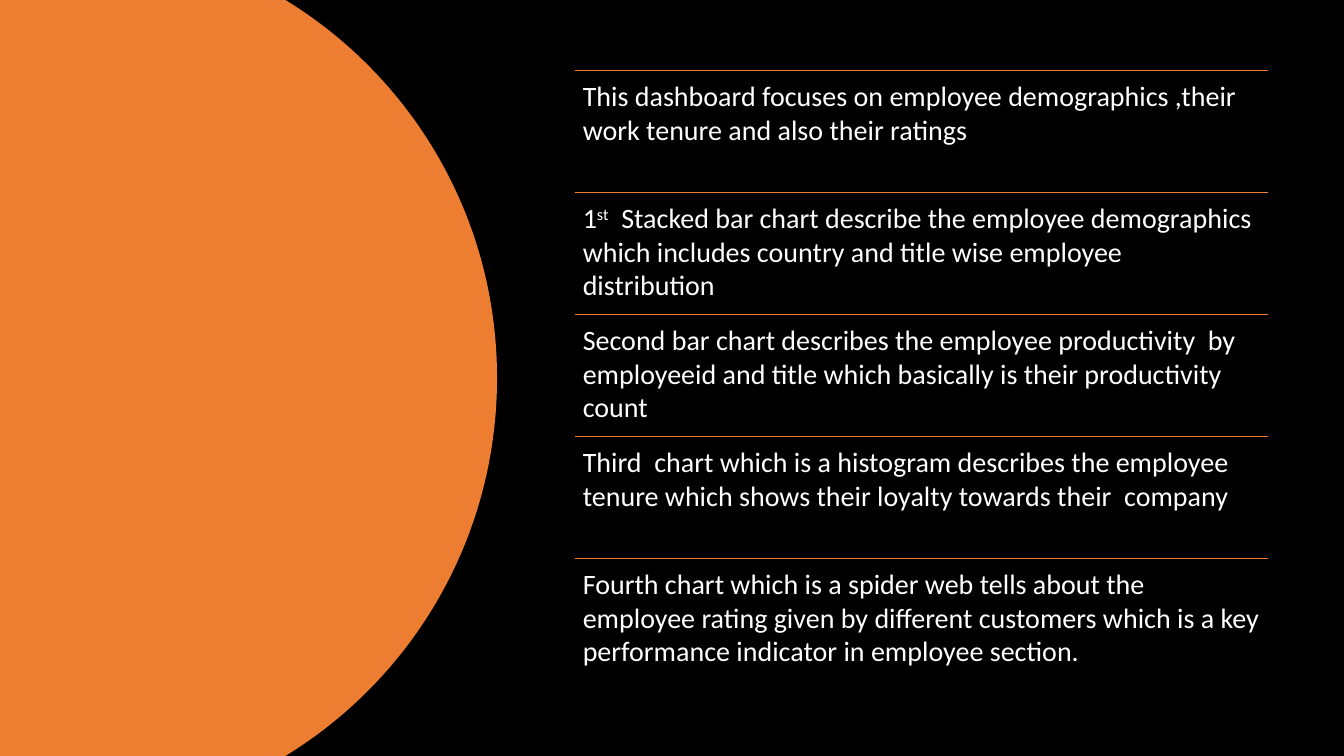
from pptx import Presentation
from pptx import util as u
from pptx.dml.color import RGBColor
from pptx.enum import shapes, text
from pptx.oxml.ns import qn
from lxml import etree

ORANGE, WHITE, BLACK = "ED7D31", "FFFFFF", "000000"
W, H = 13.33, 7.5
LEFT, TOP, WIDTH, ROW = 5.7, 0.7, 6.88, 1.21
INSET = 0.08
UNITS = 100  # outline units per inch

# Each row is a list of (text, baseline shift in thousandths of a percent)
ROWS = [
    [("This dashboard focuses on employee demographics ,their work tenure and also their ratings", 0)],
    [("1", 0), ("st", 30000),
     ("  Stacked bar chart describe the employee demographics  which includes country "
      "and title wise employee distribution", 0)],
    [("Second bar chart describes the employee productivity  by employeeid and title "
      "which basically is their productivity count", 0)],
    [("Third  chart which is a histogram describes the employee tenure which shows "
      "their loyalty towards their  company", 0)],
    [("Fourth chart which is a spider web tells about the employee rating given by "
      "different customers which is a key performance indicator in employee section.", 0)],
]


def paint(color_format, hex_color):
    """Set a fill's, line's or font's colour from a hex string."""
    color_format.rgb = RGBColor.from_string(hex_color)


prs = Presentation()
prs.slide_width, prs.slide_height = u.Inches(W), u.Inches(H)
s = prs.slides.add_slide(prs.slide_layouts[6])
s.background.fill.solid()
paint(s.background.fill.fore_color, BLACK)

# Orange panel: top edge, two curves bulging right, bottom edge
upper = [(4.09, 0.77), (4.93, 2.16), (4.93, H / 2)]
lower = [(x, H - y) for x, y in upper[1::-1]] + [(2.83, H)]
outline = [(2.83, 0)] + upper + lower + [(0, H)]
fb = s.shapes.build_freeform(0, 0, scale=u.Inches(1) / UNITS)
fb.add_line_segments([(x * UNITS, y * UNITS) for x, y in outline], close=True)
panel = fb.convert_to_shape()
panel.shadow.inherit = False
panel.fill.solid()
paint(panel.fill.fore_color, ORANGE)
panel.line.fill.background()

# Turn the six segments after the top edge into two cubic curves
segments = list(panel._element.iter(qn("a:lnTo")))
for start in (1, 4):
    curve = etree.Element(qn("a:cubicBezTo"))
    segments[start].addprevious(curve)
    for segment in segments[start:start + 3]:
        curve.append(segment[0])
        segment.getparent().remove(segment)

# Ruled list of statements
for i, parts in enumerate(ROWS):
    y = u.Inches(TOP + i * ROW)
    rule = s.shapes.add_connector(shapes.MSO_CONNECTOR.STRAIGHT, u.Inches(LEFT), y,
                                  u.Inches(LEFT + WIDTH), y)
    rule.line.width = u.Pt(1)
    paint(rule.line.color, ORANGE)
    etree.SubElement(rule._element.spPr, qn("a:effectLst"))

    sp = s.shapes.add_textbox(u.Inches(LEFT), y, u.Inches(WIDTH), u.Inches(ROW))
    tf = sp.text_frame
    tf.word_wrap = True
    tf.vertical_anchor = text.MSO_ANCHOR.TOP
    tf.margin_left = tf.margin_right = tf.margin_top = tf.margin_bottom = u.Inches(INSET)
    p = tf.paragraphs[0]
    for words, baseline in parts:
        r = p.add_run()
        r.text = words
        r.font.name, r.font.size = "Calibri", u.Pt(20)
        paint(r.font.color, WHITE)
        if baseline:
            r.font._element.set("baseline", str(baseline))

prs.save("out.pptx")
